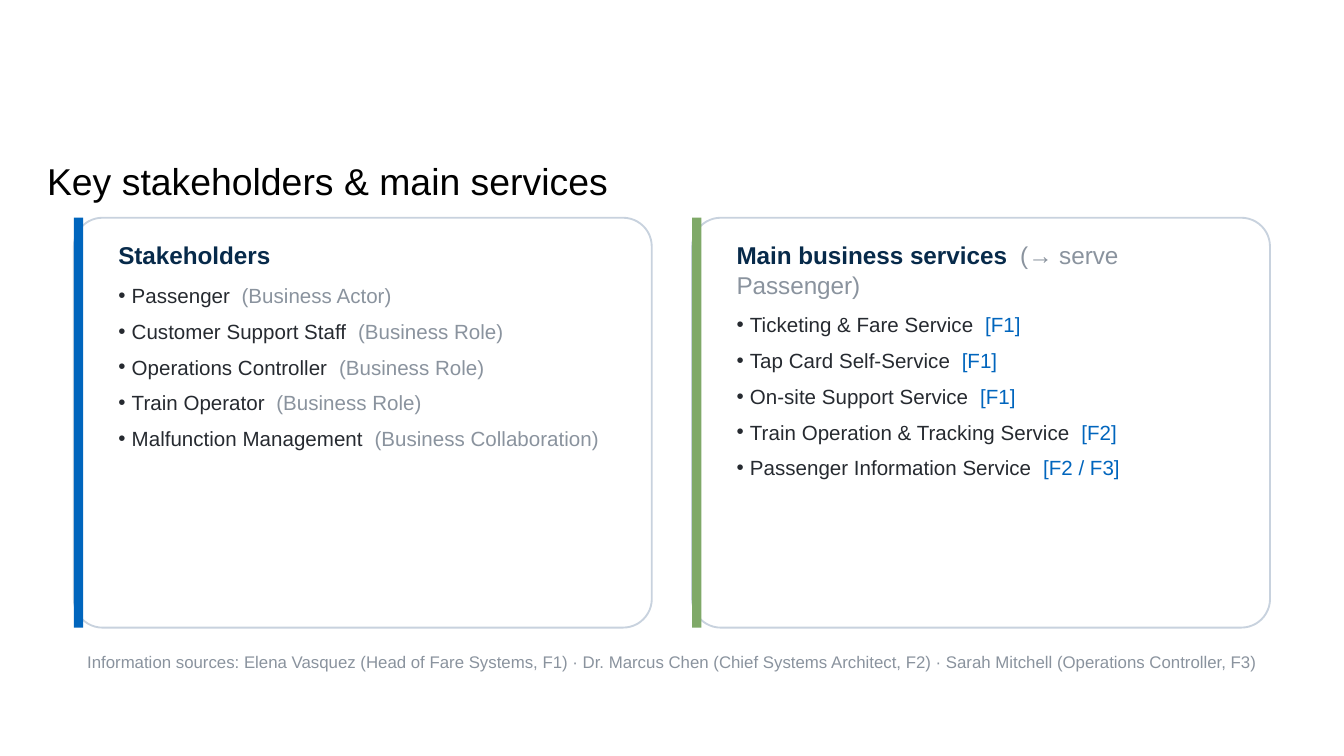
from dataclasses import dataclass

from lxml.etree import SubElement
from pptx import Presentation
from pptx.dml.color import RGBColor
from pptx.enum.shapes import MSO_SHAPE
from pptx.enum.text import MSO_ANCHOR, MSO_AUTO_SIZE, PP_ALIGN
from pptx.oxml.ns import qn
from pptx.util import Inches, Pt

BLUE, GREEN, NAVY = "0065BD", "7FA968", "072A4A"
INK, GREY, EDGE, WHITE = "262A30", "8A939E", "C8D2DE", "FFFFFF"
TOP, WIDE, HIGH = 1.62, 4.3, 3.05


@dataclass
class Card:
    left: float
    bar: str
    head: str
    note: str
    tint: str
    items: list[tuple[str, str]]


CARDS = [
    Card(0.55, BLUE, "Stakeholders", "", GREY, [
        ("Passenger", "(Business Actor)"),
        ("Customer Support Staff", "(Business Role)"),
        ("Operations Controller", "(Business Role)"),
        ("Train Operator", "(Business Role)"),
        ("Malfunction Management", "(Business Collaboration)"),
    ]),
    Card(5.15, GREEN, "Main business services", "(→ serve Passenger)", BLUE, [
        ("Ticketing & Fare Service", "[F1]"),
        ("Tap Card Self-Service", "[F1]"),
        ("On-site Support Service", "[F1]"),
        ("Train Operation & Tracking Service", "[F2]"),
        ("Passenger Information Service", "[F2 / F3]"),
    ]),
]


def rgb(code: str) -> RGBColor:
    return RGBColor.from_string(code)


def write(para, text: str, *, size: float, color: str, bold: bool = False) -> None:
    run = para.add_run()
    run.text = text
    font = run.font
    font.name, font.size, font.bold = "Arial", Pt(size), bold
    font.color.rgb = rgb(color)


def place(shape, left: float, top: float, width: float, height: float) -> None:
    shape.left, shape.top = Inches(left), Inches(top)
    shape.width, shape.height = Inches(width), Inches(height)


def setup(frame, anchor=MSO_ANCHOR.TOP) -> None:
    frame.word_wrap = True
    frame.auto_size = MSO_AUTO_SIZE.NONE
    frame.vertical_anchor = anchor


def block(slide, kind, left: float, width: float, fill: str):
    shape = slide.shapes.add_shape(
        kind, Inches(left), Inches(TOP), Inches(width), Inches(HIGH))
    shape.shadow.inherit = False
    shape.fill.solid()
    shape.fill.fore_color.rgb = rgb(fill)
    shape.line.fill.background()
    return shape


def format_line(para, after: float, bullet: bool) -> None:
    props = para._p.get_or_add_pPr()
    dent = Inches(0.1) if bullet else 0
    props.set("marL", str(dent))
    props.set("indent", str(-dent))
    if bullet:
        SubElement(props, qn("a:buChar")).set("char", "•")
    else:
        SubElement(props, qn("a:buNone"))
    para.alignment = PP_ALIGN.LEFT
    para.space_before, para.space_after = Pt(0), Pt(after)


def draw_card(slide, card: Card, body) -> None:
    # Outlined panel with a coloured bar
    panel = block(slide, MSO_SHAPE.ROUNDED_RECTANGLE, card.left, WIDE, WHITE)
    panel.adjustments[0] = 0.07
    panel.line.color.rgb = rgb(EDGE)
    panel.line.width = Pt(1)
    block(slide, MSO_SHAPE.RECTANGLE, card.left, 0.07, card.bar)

    # List, raised above the panel
    panel.element.getparent().append(body.element)
    place(body, card.left + 0.23, 1.74, 3.95, 3)
    frame = body.text_frame
    setup(frame)
    para = frame.paragraphs[0]
    format_line(para, 7, False)
    gap = "  " if card.note else ""
    write(para, card.head + gap, size=13, color=NAVY, bold=True)
    if card.note:
        write(para, card.note, size=13, color=GREY)
    for name, tag in card.items:
        para = frame.add_paragraph()
        format_line(para, 6, True)
        write(para, name + "  ", size=11, color=INK)
        write(para, tag, size=11, color=card.tint)


def main() -> None:
    # Widescreen page, 16 to 9
    deck = Presentation()
    deck.slide_width, deck.slide_height = Inches(10), Inches(10 * 9 / 16)
    slide = deck.slides.add_slide(deck.slide_layouts[3])
    title, *bodies = slide.placeholders

    # Title
    place(title, 0.35, 1.06, 9.31, 0.45)
    frame = title.text_frame
    setup(frame, MSO_ANCHOR.BOTTOM)
    frame.margin_left = frame.margin_right = 0
    frame.margin_top = frame.margin_bottom = 0
    para = frame.paragraphs[0]
    para.alignment, para.line_spacing = PP_ALIGN.LEFT, Pt(32)
    write(para, "Key stakeholders & main services", size=20, color="000000")

    # Cards
    for card, body in zip(CARDS, bodies):
        draw_card(slide, card, body)

    # Sources
    foot = slide.shapes.add_textbox(
        Inches(0.55), Inches(4.8), Inches(8.95), Inches(0.4))
    setup(foot.text_frame)
    people = [
        "Elena Vasquez (Head of Fare Systems, F1)",
        "Dr. Marcus Chen (Chief Systems Architect, F2)",
        "Sarah Mitchell (Operations Controller, F3)",
    ]
    write(foot.text_frame.paragraphs[0],
          "Information sources: " + " · ".join(people), size=9, color=GREY)

    deck.save("out.pptx")


if __name__ == "__main__":
    main()
